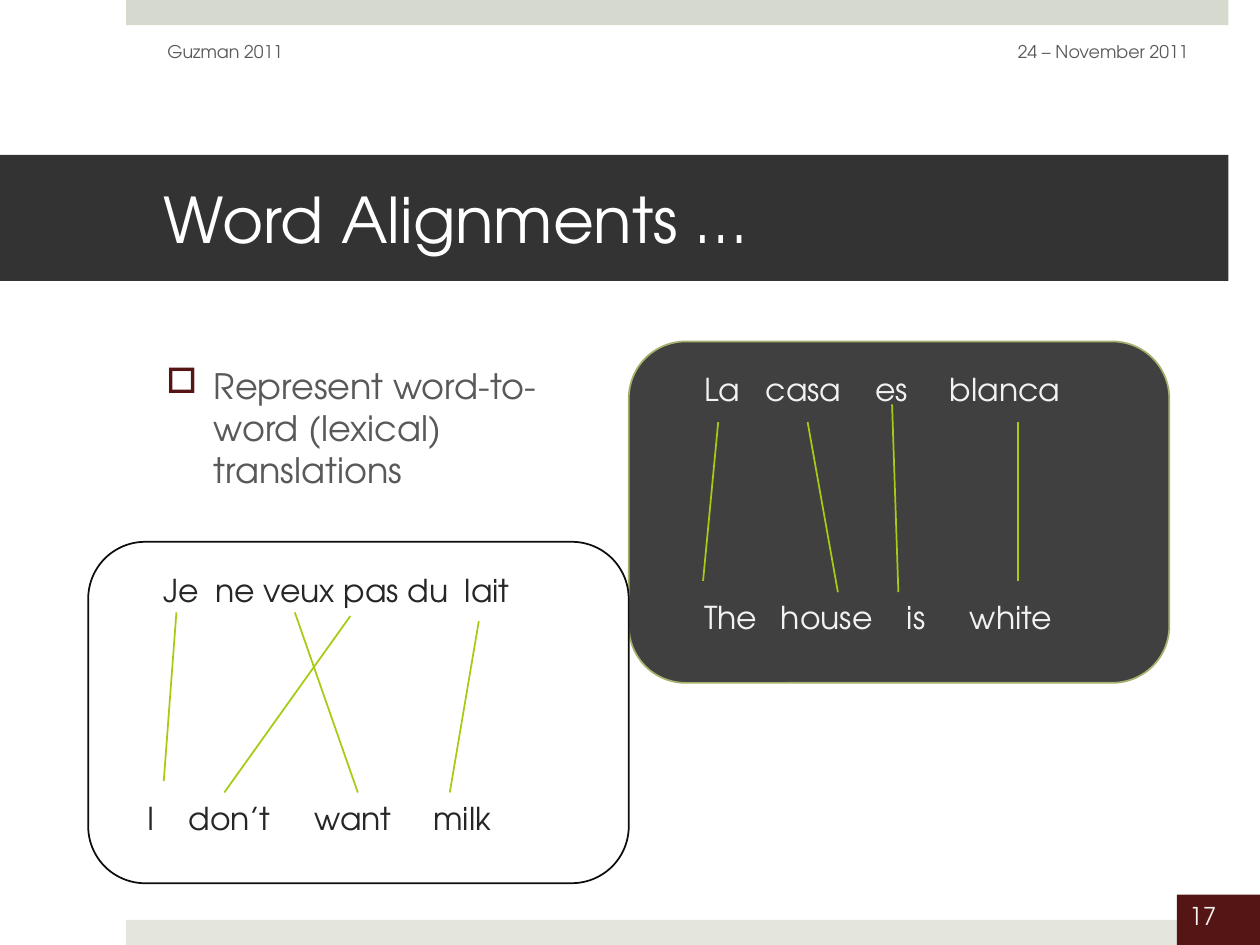
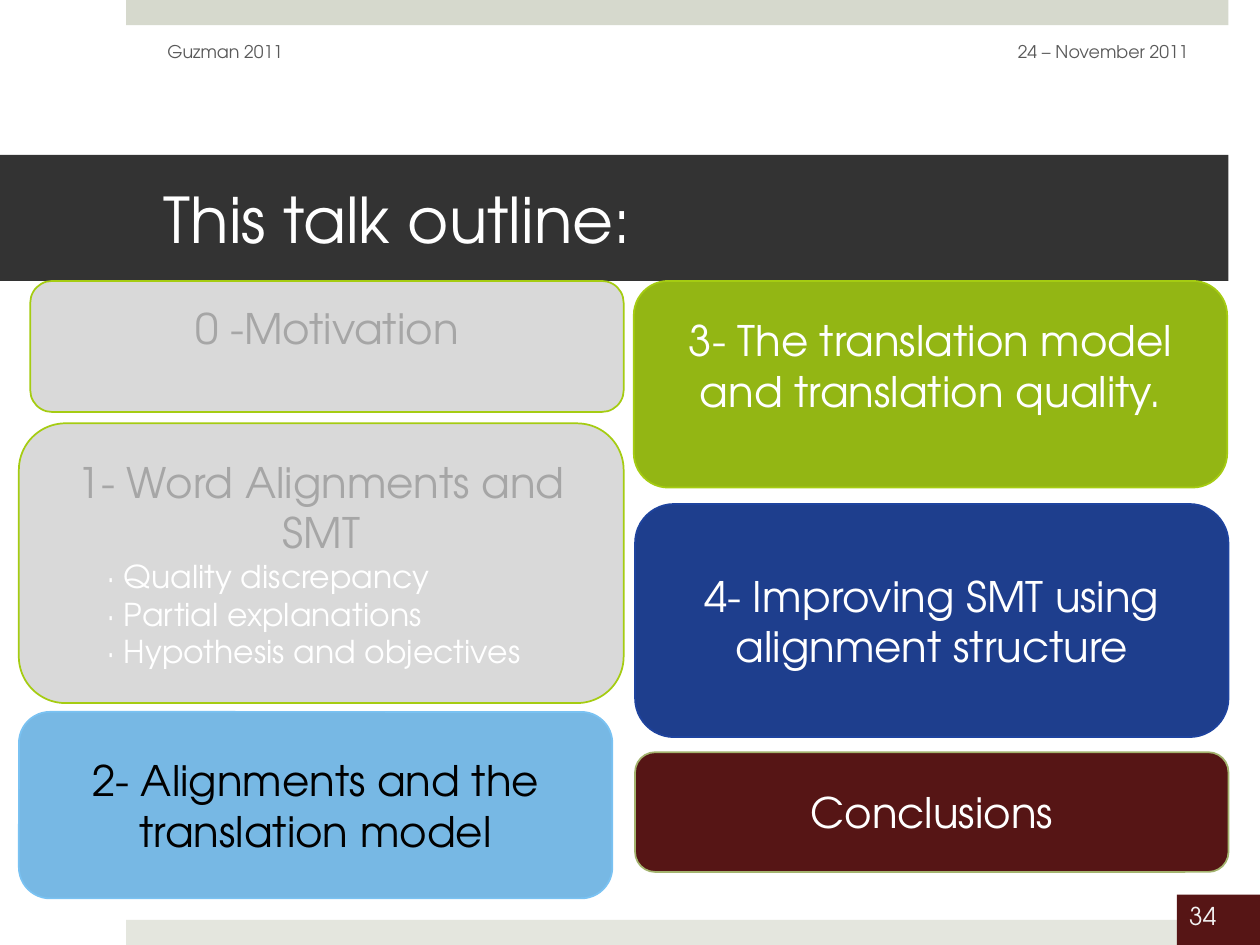
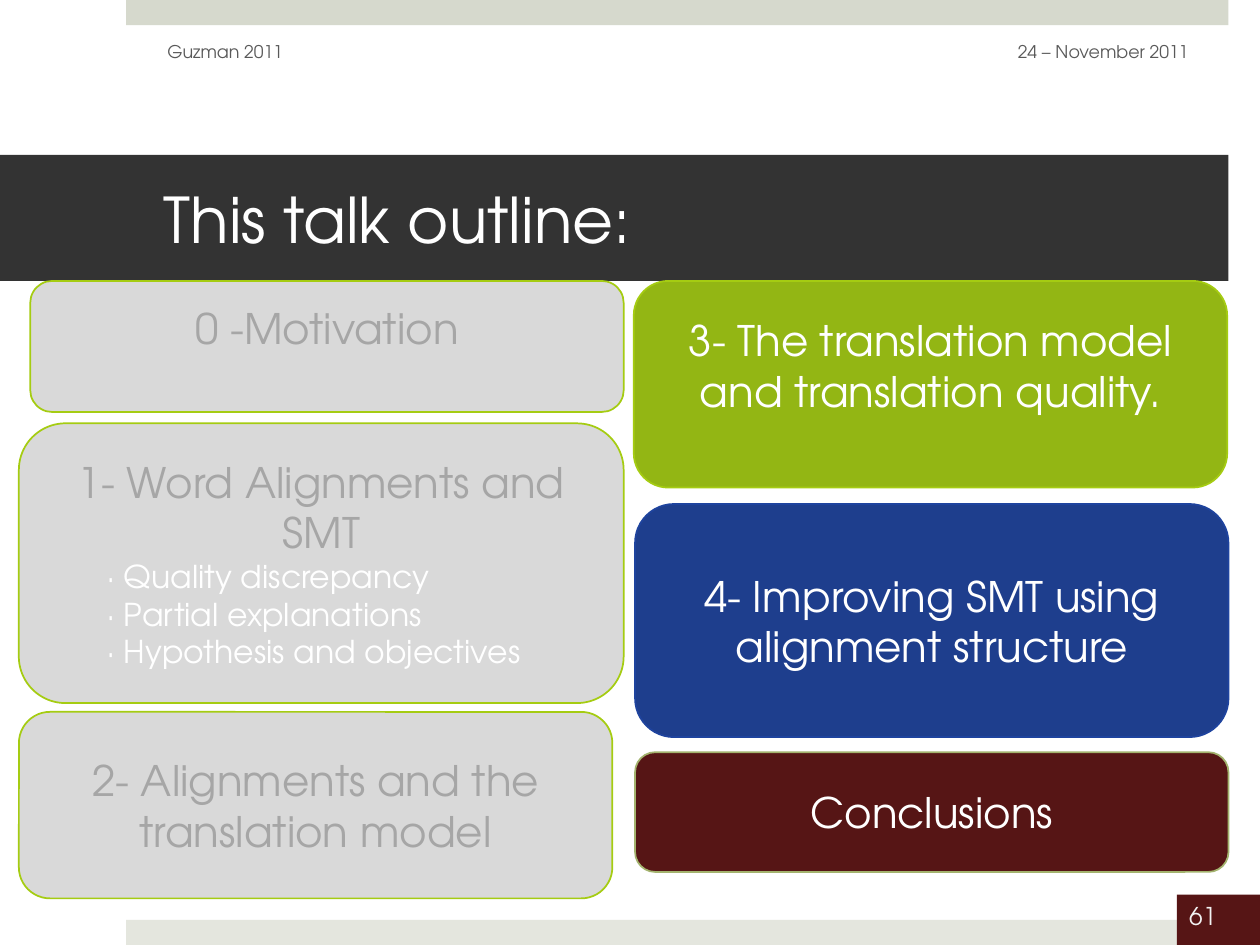
from pptx import Presentation
from pptx import util as u
from pptx.dml.color import RGBColor
from pptx.enum import shapes, text
from pptx.oxml import ns
from lxml import etree

FONT = "TeX Gyre Adventor"
HUES = {
    "white": "FFFFFF", "black": "000000", "ink": "262626", "edge": "0D0D0D",
    "band": "333333", "panel": "404040", "body": "595959", "pale": "F2F2F2",
    "top": "D6D9CD", "foot": "E4E6DE", "wine": "561515", "olive": "A3B36E",
    "lime": "A5CC12", "green": "93B614", "grey": "D9D9D9", "faded": "A6A6A6",
    "sky": "77B8E4", "sky edge": "7AC2F2", "blue": "1E3E8D", "blue edge": "1E439E",
}
ALIGN = {"left": text.PP_ALIGN.LEFT, "right": text.PP_ALIGN.RIGHT, "mid": text.PP_ALIGN.CENTER}
RECT = shapes.MSO_SHAPE.RECTANGLE
ROUND = shapes.MSO_SHAPE.ROUNDED_RECTANGLE


def hue(name):
    return RGBColor.from_string(HUES[name])


def inch(values):
    return [u.Inches(v) for v in values]


def add_node(parent, tag, **attrs):
    return etree.SubElement(parent, ns.qn(tag), {k: str(v) for k, v in attrs.items()})


def write(frame, words, size, color, align="left", middle=False, pad=(0.1, 0.05, 0.1, 0.05),
          wrap=True, indent=None, mark=None, tabs=(), more=False):
    if more:
        para = frame.add_paragraph()
    else:
        para = frame.paragraphs[0]
        frame.auto_size = text.MSO_AUTO_SIZE.NONE
        frame.word_wrap = wrap
        frame.vertical_anchor = text.MSO_ANCHOR.MIDDLE if middle else text.MSO_ANCHOR.TOP
        frame.margin_left, frame.margin_top, frame.margin_right, frame.margin_bottom = inch(pad)
    props = para._p.get_or_add_pPr()
    if indent:
        margin, first = inch(indent)
        props.set("marL", str(margin))
        props.set("indent", str(first))
    if mark:
        add_node(add_node(props, "a:buClr"), "a:srgbClr", val=HUES["wine"])
        add_node(props, "a:buChar", char=mark)
    if tabs:
        stops = add_node(props, "a:tabLst")
        for tab in tabs:
            add_node(stops, "a:tab", pos=u.Inches(tab), algn="l")
    para.alignment = ALIGN[align]
    run = para.add_run()
    run.text = words
    run.font.name, run.font.size = FONT, u.Pt(size)
    run.font.color.rgb = hue(color)


def add_box(parts, kind, box, fill, line=None):
    shape = parts.add_shape(kind, *inch(box))
    shape.shadow.inherit = False
    shape.fill.solid()
    shape.fill.fore_color.rgb = hue(fill)
    if line:
        shape.line.color.rgb = hue(line)
        shape.line.width = u.Pt(1)
    else:
        shape.line.fill.background()
    return shape


def add_text(parts, box, words, **form):
    write(parts.add_textbox(*inch(box)).text_frame, words, **form)


def add_link(parts, ends):
    link = parts.add_connector(shapes.MSO_CONNECTOR.STRAIGHT, *inch(ends))
    link.line.color.rgb = hue("lime")
    link.line.width = u.Pt(1)
    add_node(link._element.spPr, "a:effectLst")


def add_page(deck, title, number):
    page = deck.slides.add_slide(deck.slide_layouts[5])
    parts = page.shapes
    add_box(parts, RECT, (1, 0, 8.75, 0.2), "top")
    add_box(parts, RECT, (1, 7.3, 8.75, 0.2), "foot")
    badge = add_box(parts, RECT, (9.34, 7.1, 0.66, 0.4), "wine")
    write(badge.text_frame, str(number), size=14, color="pale")
    head = parts.title
    head.left, head.top, head.width, head.height = inch((0, 1.23, 9.75, 1))
    head.fill.solid()
    head.fill.fore_color.rgb = hue("band")
    write(head.text_frame, title, size=36, color="white", middle=True, pad=(1.3, 0.05, 0.3, 0.05))
    small = dict(size=10, color="body", middle=True)
    add_text(parts, (7.2, 0.21, 2.33, 0.4), "24 – November 2011", align="right", **small)
    add_text(parts, (1.23, 0.21, 3.17, 0.4), "Guzman 2011", **small)
    return parts


def add_pair(parts, left, top, fill, line, color, rows, links):
    group = parts.add_group_shape().shapes
    add_box(group, ROUND, (left, top, 4.29, 2.71), fill, line)
    for (shift, words, tabs), drop in zip(rows, (0.18, 1.99)):
        add_text(group, (left + shift, top + drop, 3.4, 0.4), "\t".join(words),
                 size=18, color=color, wrap=False, tabs=tabs)
    for x1, y1, x2, y2 in links:
        add_link(group, (left + x1, top + y1, left + x2, top + y2))


def add_words(deck):
    parts = add_page(deck, "Word Alignments …", 17)
    add_text(parts, (1.22, 2.84, 3.77, 4.01), "Represent word-to-word (lexical) translations",
             size=20, color="body", indent=(0.38, -0.38), mark="□")
    add_pair(parts, 4.99, 2.71, "panel", "olive", "pale",
             [(0.5, ["La", "casa", "es", "blanca"], (0.49, 1.36, 1.95)),
              (0.5, ["The", "house", "is", "white"], (0.61, 1.61, 2.11))],
             [(0.71, 0.64, 0.59, 1.9), (1.42, 0.64, 1.66, 1.99),
              (2.09, 0.5, 2.14, 1.99), (3.09, 0.64, 3.09, 1.9)])
    add_pair(parts, 0.7, 4.3, "white", "edge", "ink",
             [(0.5, ["Je", "ne veux pas du", "lait"], (0.41, 2.39)),
              (0.37, ["I", "don’t", "want", "milk"], (0.33, 1.33, 2.27))],
             [(0.7, 0.56, 0.6, 1.9), (2.08, 0.59, 1.08, 1.99),
              (1.64, 0.56, 2.14, 1.99), (3.1, 0.63, 2.87, 1.99)])


def add_card(parts, box, words, fill, line, color, points=(), lift=0.05):
    frame = add_box(parts, ROUND, box, fill, line).text_frame
    write(frame, words, size=24, color=color, align="mid", middle=True, pad=(0.1, 0.05, 0.1, lift))
    for point in points:
        write(frame, "· " + point, size=18, color="white", indent=(0.5, 0), more=True)


def add_plan(deck, number, second):
    parts = add_page(deck, "This talk outline:", number)
    done = ("grey", "lime", "faded")
    add_card(parts, (0.24, 2.23, 4.71, 1.04), "0 -Motivation", *done, lift=0.35)
    add_card(parts, (0.15, 3.36, 4.8, 2.22), "1- Word Alignments and SMT", *done,
             points=("Quality discrepancy", "Partial explanations", "Hypothesis and objectives"))
    add_card(parts, (0.15, 5.65, 4.71, 1.48), "2- Alignments and the translation model",
             *(second or done))
    add_card(parts, (5.03, 2.23, 4.71, 1.64), "3- The translation model and translation quality.",
             "green", "lime", "white", lift=0.35)
    add_card(parts, (5.04, 4, 4.71, 1.85), "4- Improving SMT using alignment structure",
             "blue", "blue edge", "white")
    add_card(parts, (5.04, 5.97, 4.71, 0.95), "Conclusions", "wine", "olive", "white")


def main():
    deck = Presentation()
    deck.slide_width, deck.slide_height = inch((10, 7.5))
    add_words(deck)
    add_plan(deck, 34, ("sky", "sky edge", "black"))
    add_plan(deck, 61, None)
    deck.save("out.pptx")


if __name__ == "__main__":
    main()
